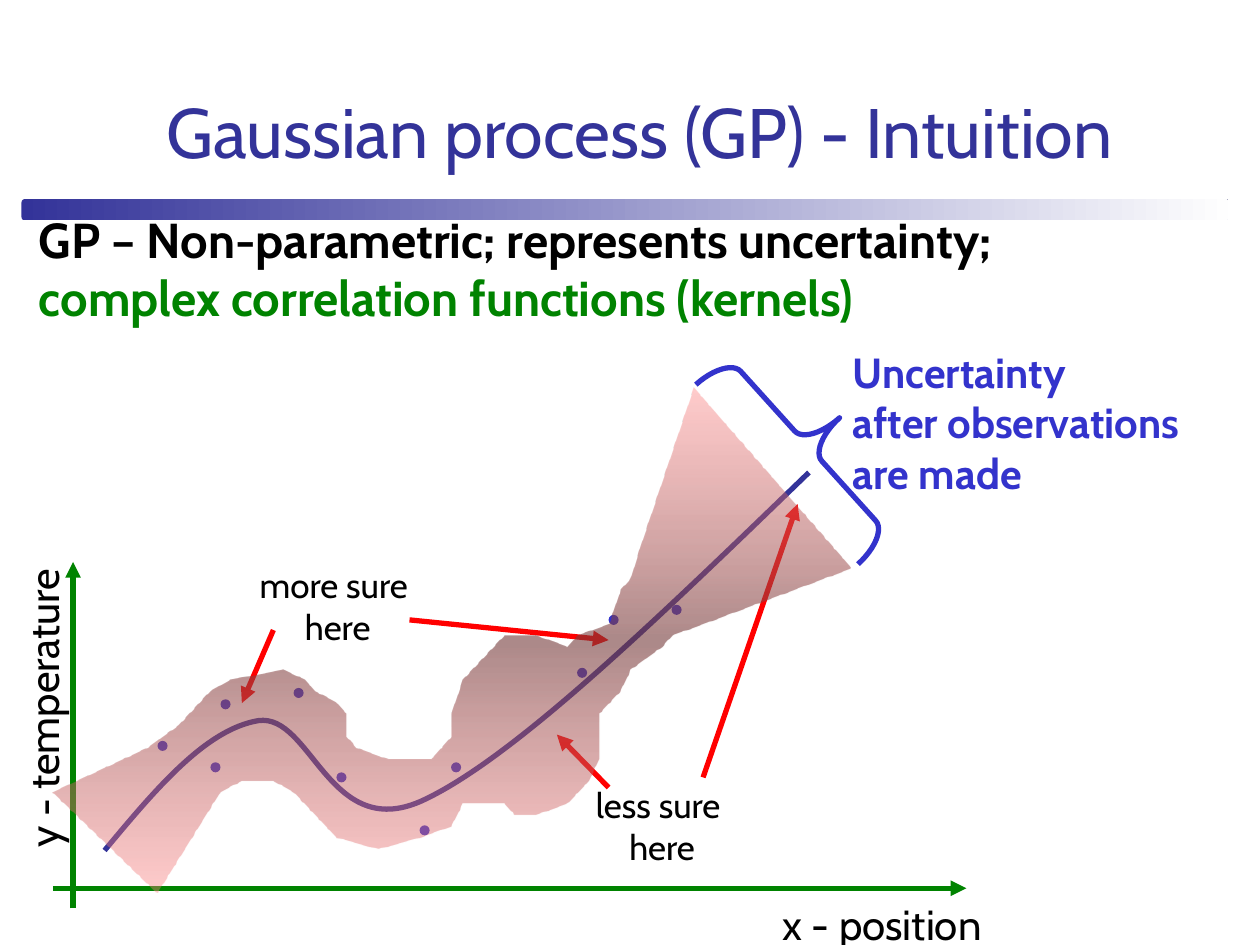
from lxml import etree
from pptx import Presentation
from pptx.dml.color import RGBColor
from pptx.enum.shapes import MSO_CONNECTOR, MSO_SHAPE
from pptx.enum.text import MSO_ANCHOR, PP_ALIGN
from pptx.oxml.ns import qn
from pptx.util import Inches, Pt

LEFT, MID = PP_ALIGN.LEFT, PP_ALIGN.CENTER
TOP, BASE = MSO_ANCHOR.TOP, MSO_ANCHOR.BOTTOM
OVAL, BAR, BRACE = MSO_SHAPE.OVAL, MSO_SHAPE.ROUNDED_RECTANGLE, MSO_SHAPE.RIGHT_BRACE
LINE = MSO_CONNECTOR.STRAIGHT
HEX = {"navy": "333399", "blue": "3333CC", "green": "008300", "red": "FF0000",
       "black": "000000", "pale": "FEFEFE", "pink": "FF8080", "brown": "753B3B"}

prs = Presentation()
prs.slide_width, prs.slide_height = Inches(10), Inches(7.5)
slide = prs.slides.add_slide(prs.slide_layouts[6])
shapes = slide.shapes


def add_text(box, lines, size, align=LEFT, bold=False, anchor=TOP, turn=0):
    """Place one paragraph for each (text, colour) pair."""
    label = shapes.add_textbox(*map(Inches, box))
    label.rotation = turn
    frame = label.text_frame
    frame.word_wrap = True
    frame.vertical_anchor = anchor
    for i, (text, tint) in enumerate(lines):
        para = frame.paragraphs[0] if i == 0 else frame.add_paragraph()
        para.alignment = align
        run = para.add_run()
        run.text = text
        font = run.font
        font.name, font.size, font.bold = "Cabin", Pt(size), bold
        font.color.rgb = RGBColor.from_string(HEX[tint])


def add_arrow(start, end, tint):
    """Draw a straight arrow with its head at the end."""
    arrow = shapes.add_connector(LINE, *map(Inches, (*start, *end)))
    arrow.line.color.rgb = RGBColor.from_string(HEX[tint])
    arrow.line.width = Pt(3)
    etree.SubElement(arrow.line._get_or_add_ln(), qn("a:tailEnd"), type="triangle")
    etree.SubElement(arrow._element.spPr, qn("a:effectLst"))


# Title and the bar below it
bar = shapes.add_shape(BAR, *map(Inches, (0.17, 1.58, 9.58, 0.17)))
add_text((1.22, 0, 8.53, 1.42), [("Gaussian process (GP) - Intuition", "navy")],
         40, anchor=BASE)

# Axes
add_arrow((0.42, 7.05), (7.67, 7.05), "green")
add_arrow((0.58, 7.21), (0.58, 4.46), "green")

# Observations
for x, y in [(1.25, 5.88), (1.67, 6.05), (1.75, 5.55), (2.33, 5.46), (2.67, 6.13),
             (3.58, 6.05), (3.33, 6.55), (4.58, 5.3), (4.83, 4.88), (5.33, 4.8)]:
    dot = shapes.add_shape(OVAL, *map(Inches, (x, y, 0.08, 0.08)))
    dot.shadow.inherit = False
    dot.fill.solid()
    dot.fill.fore_color.rgb = RGBColor.from_string(HEX["blue"])
    dot.line.fill.background()

# Axis names
add_text((6.04, 7.08, 1.92, 0.5), [("x - position", "black")], 24, MID)
add_text((-0.98, 5.37, 2.64, 0.5), [("y - temperature", "black")], 24, MID, turn=270)

# Mean curve: each three points after the start make one Bezier piece
knots = [(0.83, 6.75), (1.23, 6.27), (1.63, 5.79), (2.05, 5.72), (2.47, 5.66),
         (2.61, 6.68), (3.34, 6.36), (4.07, 6.03), (5.24, 4.89), (6.42, 3.75)]
pen = shapes.build_freeform(Inches(knots[0][0]), Inches(knots[0][1]))
pen.add_line_segments([(Inches(x), Inches(y)) for x, y in knots[1:]], close=False)
curve = pen.convert_to_shape()
route = curve._element.find(".//" + qn("a:path"))
steps = route.findall(qn("a:lnTo"))
for i in range(0, len(steps), 3):
    piece = etree.SubElement(route, qn("a:cubicBezTo"))
    for step in steps[i:i + 3]:
        piece.append(step[0])
        route.remove(step)

# Headline
add_text((0.21, 1.61, 9.02, 1.04),
         [("GP – Non-parametric; represents uncertainty;", "black"),
          ("complex correlation functions (kernels)", "green")], 28, bold=True)

# Notes on certainty
add_arrow((5.58, 6.17), (6.33, 4), "red")
add_text((4.55, 6.17, 1.41, 0.77), [("less sure ", "black"), ("here", "black")], 20, MID)
add_arrow((4.83, 6.25), (4.42, 5.83), "red")
add_text((1.87, 4.42, 1.62, 0.77), [("more sure ", "black"), ("here", "black")], 20, MID)
add_arrow((3.25, 4.92), (4.83, 5.08), "red")
add_arrow((2.17, 5), (1.92, 5.58), "red")

# Uncertainty band
edge = [(1.25, 7.08), (0.42, 6.28), (1.17, 5.93), (1.42, 5.75), (1.67, 5.48),
        (1.83, 5.39), (2.25, 5.31), (2.42, 5.39), (2.5, 5.48), (2.67, 5.57),
        (2.75, 5.66), (2.75, 5.84), (2.83, 5.93), (3.08, 6.02), (3.42, 6.02),
        (3.58, 5.84), (3.58, 5.66), (3.67, 5.39), (3.83, 5.22), (4, 5.04),
        (4.25, 5.04), (4.5, 5.13), (4.58, 5.04), (4.83, 4.95), (4.92, 4.68),
        (5, 4.59), (5.08, 4.33), (5.5, 3.08), (6.75, 4.51), (5.58, 4.95),
        (5.33, 5.04), (5.25, 5.13), (5, 5.31), (4.92, 5.48), (4.75, 5.66),
        (4.75, 6.02), (4.67, 6.19), (4.5, 6.37), (4.25, 6.46), (4.08, 6.46),
        (4, 6.37), (3.67, 6.37), (3.58, 6.55), (3.33, 6.64), (3, 6.73),
        (2.67, 6.64), (2.5, 6.46), (2.33, 6.28), (2.17, 6.19), (1.92, 6.19),
        (1.75, 6.28)]
pen = shapes.build_freeform(Inches(edge[0][0]), Inches(edge[0][1]))
pen.add_line_segments([(Inches(x), Inches(y)) for x, y in edge[1:]])
band = pen.convert_to_shape()

# Gradients as (place, colour, opacity) in percent
for shape, angle, stops in [
        (bar, 0, [(0, "navy", 100), (100, "pale", 100)]),
        (band, 270, [(0, "pink", 40), (50, "brown", 60), (100, "pink", 40)])]:
    shape.shadow.inherit = False
    shape.line.fill.background()
    shape.fill.gradient()
    shape.fill.gradient_angle = angle
    ramp = shape._element.spPr.find(".//" + qn("a:gsLst"))
    for old in list(ramp):
        ramp.remove(old)
    for place, tint, alpha in stops:
        stop = etree.SubElement(ramp, qn("a:gs"), pos=str(place * 1000))
        color = etree.SubElement(stop, qn("a:srgbClr"), val=HEX[tint])
        etree.SubElement(color, qn("a:alpha"), val=str(alpha * 1000))

# Brace over the wide end, styled like the curve
brace = shapes.add_shape(BRACE, *map(Inches, (6.08, 2.58, 0.67, 1.92)))
brace.rotation = 317.9
brace.adjustments[0] = 0.24
for shape, tint in [(curve, "navy"), (brace, "blue")]:
    shape.shadow.inherit = False
    shape.fill.background()
    shape.line.color.rgb = RGBColor.from_string(HEX[tint])
    shape.line.width = Pt(3)
add_text((6.67, 2.7, 3.35, 1.3),
         [(text, "blue") for text in ("Uncertainty", "after observations", "are made")],
         24, bold=True)

prs.save("out.pptx")
